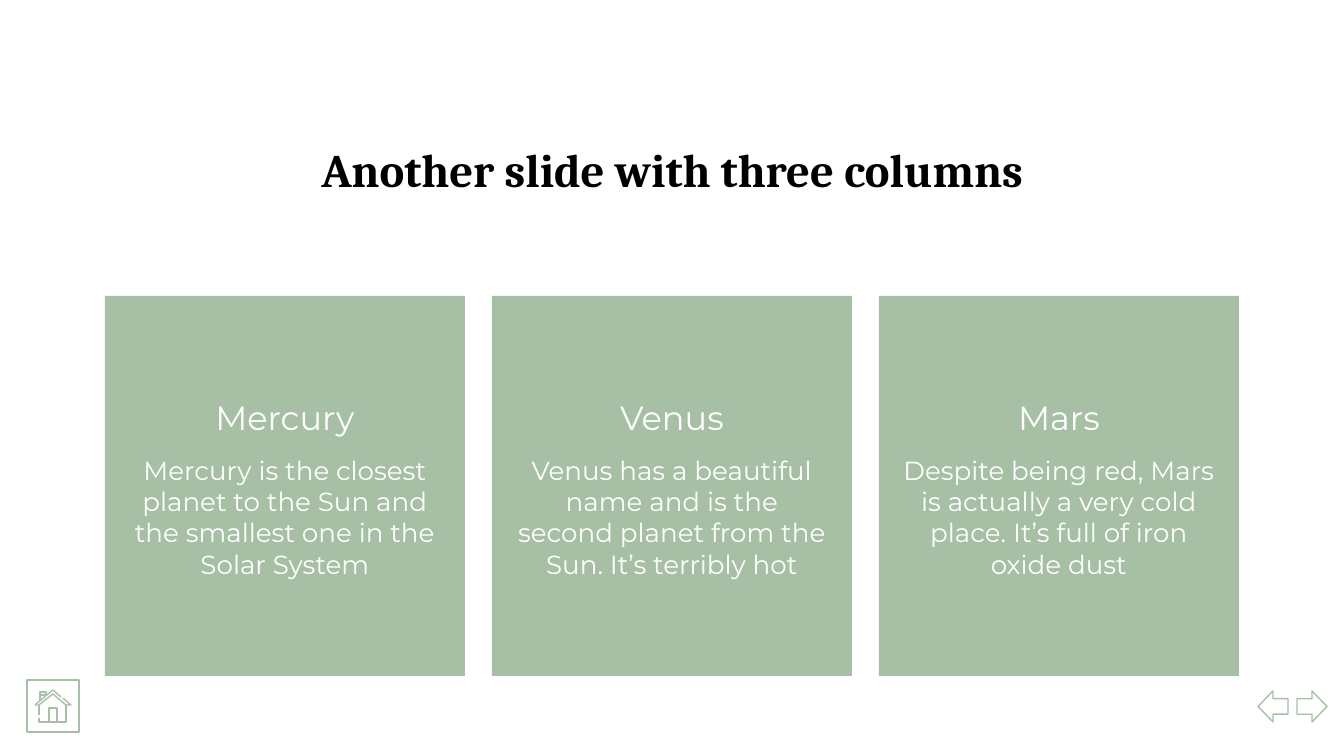
from dataclasses import dataclass

from pptx import Presentation
from pptx import util as u
from pptx.dml.color import RGBColor
from pptx.enum import shapes, text

PX = 914400 / 134.4  # EMU in one px
COLORS = {"sage": "A6BFA5", "white": "FFFFFF", "black": "000000"}
INSET = 13
COLUMN_LEFT, COLUMN_PITCH = 105, 387
HOUSE_STROKES = [
    [(35, 705), (53, 690), (61, 697)],  # upper roof edge
    [(63, 698), (71, 705), (66, 705), (53, 694), (39, 705), (35, 705)],
    [(39, 705), (39, 715)],  # left wall, broken near its foot
    [(39, 718), (39, 722), (66, 722), (66, 705)],
    [(49, 722), (49, 708), (57, 708), (57, 722)],  # door
    [(40, 700), (40, 692), (46, 692), (46, 695)],  # chimney
    [(40, 695), (46, 695)],
]


@dataclass
class Box:
    left: int
    top: int
    width: int
    height: int

    def emu(self) -> list[u.Emu]:
        return [px(v) for v in (self.left, self.top, self.width, self.height)]


@dataclass
class Planet:
    name: str
    description: str


PLANETS = [
    Planet("Mercury", "Mercury is the closest planet to the Sun and "
                      "the smallest one in the Solar System"),
    Planet("Venus", "Venus has a beautiful name and is the second planet "
                    "from the Sun. It’s terribly hot"),
    Planet("Mars", "Despite being red, Mars is actually a very cold place. "
                   "It’s full of iron oxide dust"),
]


def px(value: int) -> u.Emu:
    return u.Emu(round(value * PX))


def color(name: str) -> RGBColor:
    return RGBColor.from_string(COLORS[name])


def write(shape, words: str, *, size: int, font: str = "Montserrat",
          ink: str = "white", bold: bool = False,
          anchor=text.MSO_ANCHOR.TOP) -> None:
    """Put one centred paragraph into the shape."""
    frame = shape.text_frame
    frame.word_wrap = True
    frame.auto_size = text.MSO_AUTO_SIZE.NONE
    frame.vertical_anchor = anchor
    frame.margin_left = frame.margin_right = px(INSET)
    frame.margin_top = frame.margin_bottom = px(INSET)
    para = frame.paragraphs[0]
    para.alignment = text.PP_ALIGN.CENTER
    span = para.add_run()
    span.text = words
    span.font.name = font
    span.font.size = u.Pt(size)
    span.font.bold = bold
    span.font.color.rgb = color(ink)


def outline(shape) -> None:
    shape.line.color.rgb = color("sage")
    shape.line.width = u.Pt(0.75)


def draw_shape(page, kind, box: Box, fill: str, outlined: bool = False):
    shape = page.shapes.add_shape(kind, *box.emu())
    shape.shadow.inherit = False
    shape.fill.solid()
    shape.fill.fore_color.rgb = color(fill)
    if outlined:
        outline(shape)
    else:
        shape.line.fill.background()
    return shape


def draw_column(page, planet: Planet, left: int) -> None:
    draw_shape(page, shapes.MSO_SHAPE.RECTANGLE, Box(left, 296, 360, 380), "sage")
    heading = page.shapes.add_textbox(*Box(left + 10, 380, 340, 70).emu())
    write(heading, planet.name, size=18, anchor=text.MSO_ANCHOR.BOTTOM)
    body = page.shapes.add_textbox(*Box(left + 10, 441, 340, 151).emu())
    write(body, planet.description, size=14)


def draw_house(page) -> None:
    first, *others = HOUSE_STROKES
    builder = page.shapes.build_freeform(*first[0], scale=PX)
    builder.add_line_segments(first[1:], close=False)
    for stroke in others:
        builder.move_to(*stroke[0])
        builder.add_line_segments(stroke[1:], close=False)
    house = builder.convert_to_shape()
    house.shadow.inherit = False
    house.fill.background()
    outline(house)


def draw_navigation(page) -> None:
    for left, rotation in ((1258, 0), (1297, 180)):
        arrow = draw_shape(page, shapes.MSO_SHAPE.LEFT_ARROW,
                           Box(left, 691, 30, 31), "white", outlined=True)
        arrow.rotation = rotation
    draw_shape(page, shapes.MSO_SHAPE.RECTANGLE, Box(27, 680, 52, 52),
               "white", outlined=True)
    draw_house(page)


def main() -> None:
    deck = Presentation()
    deck.slide_width, deck.slide_height = px(1344), px(756)
    page = deck.slides.add_slide(deck.slide_layouts.get_by_name("Title Only"))
    title = page.shapes.title
    title.left, title.top, title.width, title.height = Box(98, 128, 1148, 94).emu()
    write(title, "Another slide with three columns", size=25,
          font="Cambria", ink="black", bold=True)
    for index, planet in enumerate(PLANETS):
        draw_column(page, planet, COLUMN_LEFT + index * COLUMN_PITCH)
    draw_navigation(page)
    deck.save("out.pptx")


if __name__ == "__main__":
    main()
